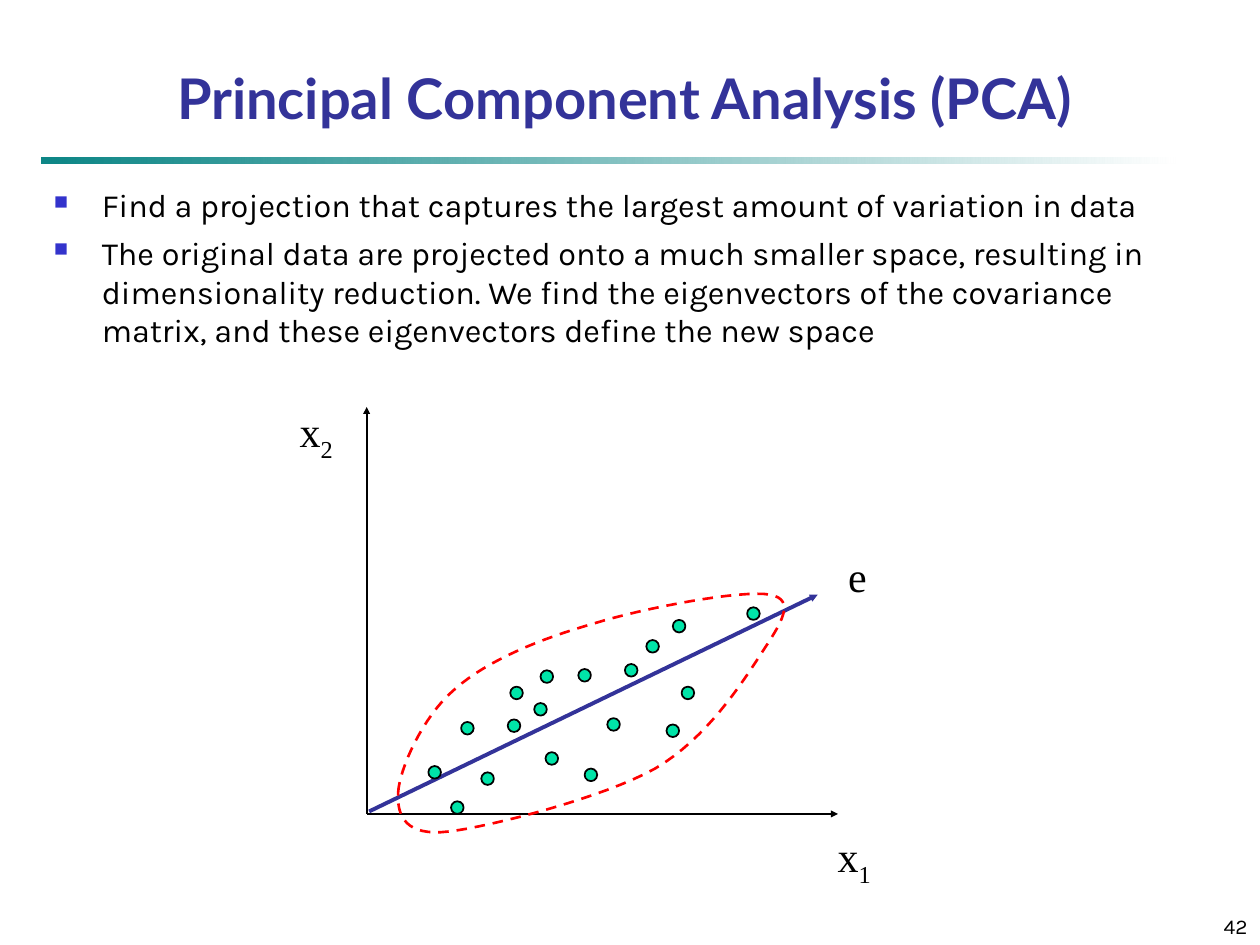
from lxml.etree import SubElement
from pptx import Presentation
from pptx.dml.color import RGBColor
from pptx.enum.dml import MSO_LINE
from pptx.enum.shapes import MSO_CONNECTOR, MSO_SHAPE
from pptx.enum.text import MSO_ANCHOR, PP_ALIGN
from pptx.oxml.ns import qn
from pptx.util import Inches, Pt

TITLE = "Principal Component Analysis (PCA)"
BULLETS = [
    "Find a projection that captures the largest amount of variation in data",
    "The original data are projected onto a much smaller space, resulting in "
    "dimensionality reduction. We find the eigenvectors of the covariance "
    "matrix, and these eigenvectors define the new space",
]
PAGE_NUMBER = "42"
# text, subscript, (left, top, width, height)
LABELS = [
    ("x", "2", (2.28, 3.17, 0.46, 0.56)),
    ("x", "1", (6.55, 6.54, 0.46, 0.56)),
    ("e", "", (6.63, 4.32, 0.35, 0.5)),
]
# start, end, colour, width in points
ARROWS = [
    ((2.91, 6.46), (2.91, 3.23), "000000", 1),
    ((2.91, 6.46), (6.65, 6.46), "000000", 1),
    ((2.93, 6.44), (6.49, 4.72), "333399", 2.25),
]
DOT_SIZE = 0.1
DOTS = [
    (3.66, 5.73), (4.05, 5.45), (3.4, 6.08), (4.24, 5.58), (4.03, 5.71),
    (4.82, 5.7), (4.64, 6.1), (4.33, 5.97), (4.59, 5.31), (5.41, 5.45),
    (5.93, 4.82), (3.82, 6.13), (4.96, 5.27), (5.34, 4.92), (4.29, 5.32),
    (5.13, 5.08), (5.29, 5.75), (3.58, 6.36),
]
# Bezier curves round the cloud: two control points and an end point each
CLOUD_START = (3.16, 6.29)
CLOUD_CURVES = [
    ((3.17, 6.11), (3.35, 5.69), (3.61, 5.47)),
    ((3.87, 5.24), (4.29, 5.07), (4.71, 4.95)),
    ((5.13, 4.82), (5.89, 4.68), (6.11, 4.72)),
    ((6.33, 4.76), (6.19, 4.96), (6.04, 5.19)),
    ((5.89, 5.42), (5.61, 5.86), (5.2, 6.1)),
    ((4.79, 6.33), (3.9, 6.56), (3.56, 6.6)),
    ((3.22, 6.64), (3.15, 6.48), CLOUD_START),
]
CURVE_STEPS = 16


def color(value):
    return RGBColor.from_string(value)


def add_span(para, text, font, size, ink="000000", bold=False):
    span = para.add_run()
    span.text = text
    for name, value in {"name": font, "size": Pt(size), "bold": bold}.items():
        setattr(span.font, name, value)
    span.font.color.rgb = color(ink)
    return span


def add_box(page, place, anchor, align=PP_ALIGN.LEFT, wrap=True):
    """Add a text box and return its text frame."""
    frame = page.shapes.add_textbox(*map(Inches, place)).text_frame
    frame.word_wrap = wrap
    frame.vertical_anchor = anchor
    frame.paragraphs[0].alignment = align
    return frame


def add_bullet(para):
    indent = Inches(0.38)
    props = para._p.get_or_add_pPr()
    props.set("marL", str(indent))
    props.set("indent", str(-indent))
    para.line_spacing = 1.0
    para.space_before = Pt(5)
    SubElement(SubElement(props, qn("a:buClr")), qn("a:srgbClr"), val="3333CC")
    SubElement(props, qn("a:buSzPct"), val="60000")
    SubElement(props, qn("a:buChar"), char="■")


def add_rule(page):
    rule = page.shapes.add_shape(
        MSO_SHAPE.RECTANGLE, *map(Inches, (0.33, 1.25, 9, 0.05)))
    rule.shadow.inherit = False
    rule.line.fill.background()
    rule.fill.gradient()
    rule.fill.gradient_angle = 0
    for stop, value in zip(rule.fill.gradient_stops, ("008080", "FFFFFF")):
        stop.color.rgb = color(value)
    teal = next(rule._element.spPr.iter(qn("a:srgbClr")))
    SubElement(teal, qn("a:alpha"), val="95000")


def add_arrow(page, start, end, ink, width):
    arrow = page.shapes.add_connector(
        MSO_CONNECTOR.STRAIGHT, *map(Inches, start + end))
    arrow.line.color.rgb = color(ink)
    arrow.line.width = Pt(width)
    SubElement(arrow.line._get_or_add_ln(), qn("a:tailEnd"),
               type="triangle", w="sm", len="sm")
    SubElement(arrow._element.spPr, qn("a:effectLst"))


def add_dot(page, left, top):
    dot = page.shapes.add_shape(
        MSO_SHAPE.OVAL, *map(Inches, (left, top, DOT_SIZE, DOT_SIZE)))
    dot.shadow.inherit = False
    dot.fill.solid()
    dot.fill.fore_color.rgb = color("00E4A8")
    dot.line.color.rgb = color("000000")
    dot.line.width = Pt(1)


def curve_points(start, first, second, end):
    """Sample a cubic Bezier curve, leaving out its start."""
    for step in range(1, CURVE_STEPS + 1):
        t = step / CURVE_STEPS
        u = 1 - t
        yield tuple(
            u**3 * a + 3 * u * u * t * b + 3 * u * t * t * c + t**3 * d
            for a, b, c, d in zip(start, first, second, end))


def add_cloud_outline(page):
    points = [CLOUD_START]
    for curve in CLOUD_CURVES:
        points.extend(curve_points(points[-1], *curve))
    corners = [(Inches(x), Inches(y)) for x, y in points]
    builder = page.shapes.build_freeform(*corners[0])
    builder.add_line_segments(corners[1:], close=True)
    outline = builder.convert_to_shape()
    outline.shadow.inherit = False
    outline.fill.background()
    outline.line.color.rgb = color("FF0000")
    outline.line.width = Pt(1.5)
    outline.line.dash_style = MSO_LINE.DASH


def main():
    deck = Presentation()
    deck.slide_width, deck.slide_height = Inches(10), Inches(7.5)
    page = deck.slides.add_slide(deck.slide_layouts[6])

    add_rule(page)
    title = add_box(page, (0.17, 0.17, 9.58, 0.92), MSO_ANCHOR.BOTTOM, PP_ALIGN.CENTER)
    add_span(title.paragraphs[0], TITLE, "Lato", 32, "333399", True)

    body = add_box(page, (0.33, 1.42, 9.17, 1.75), MSO_ANCHOR.TOP)
    for index, text in enumerate(BULLETS):
        para = body.add_paragraph() if index else body.paragraphs[0]
        add_bullet(para)
        add_span(para, text, "Karla", 18.5)

    for arrow in ARROWS:
        add_arrow(page, *arrow)
    for dot in DOTS:
        add_dot(page, *dot)
    add_cloud_outline(page)
    for text, subscript, place in LABELS:
        label = add_box(page, place, MSO_ANCHOR.MIDDLE, PP_ALIGN.CENTER, wrap=False)
        para = label.paragraphs[0]
        add_span(para, text, "Times New Roman", 24)
        if subscript:
            span = add_span(para, subscript, "Times New Roman", 24)
            span.font._element.set("baseline", "-25000")

    number = add_box(page, (7.92, 7.08, 2.08, 0.42), MSO_ANCHOR.BOTTOM, PP_ALIGN.RIGHT)
    add_span(number.paragraphs[0], PAGE_NUMBER, "Karla", 12)
    deck.save("out.pptx")


if __name__ == "__main__":
    main()
